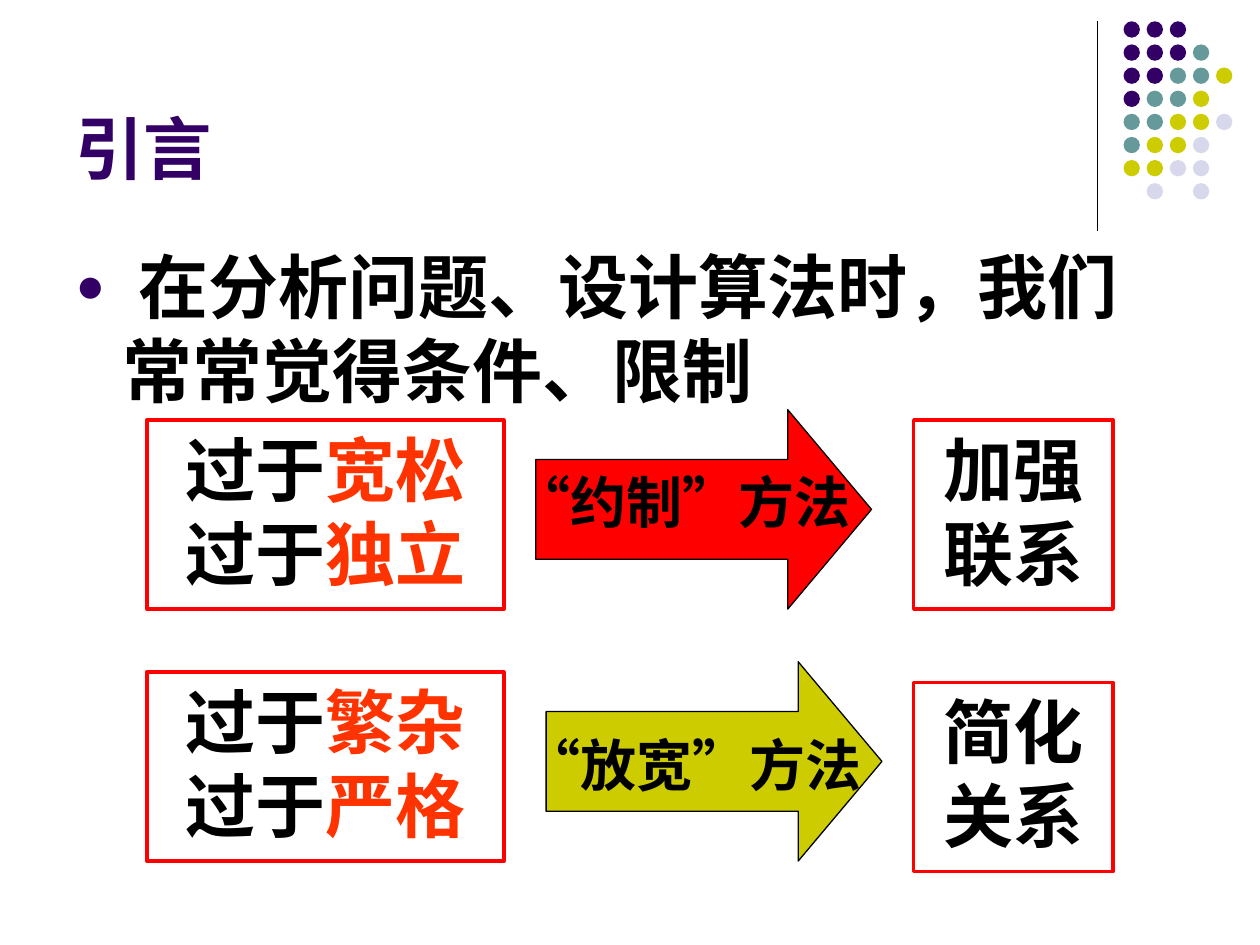
from lxml import etree
from pptx import Presentation
from pptx.dml.color import RGBColor
from pptx.enum.shapes import MSO_CONNECTOR, MSO_SHAPE
from pptx.enum.text import MSO_ANCHOR, MSO_AUTO_SIZE, PP_ALIGN
from pptx.oxml.ns import qn
from pptx.util import Cm, Pt

LEFT, CENTER = PP_ALIGN.LEFT, PP_ALIGN.CENTER
TOP, BOTTOM = MSO_ANCHOR.TOP, MSO_ANCHOR.BOTTOM
RECT, ARROW, DOT = MSO_SHAPE.RECTANGLE, MSO_SHAPE.RIGHT_ARROW, MSO_SHAPE.OVAL

BLACK, RED, ORANGE, PURPLE, OLIVE = "000000", "FF0000", "FF3300", "330066", "CCCC00"
HEADING = "引言"
INTRO = " 在分析问题、设计算法时，我们常常觉得条件、限制"
METHODS = [
    {"problems": ["宽松", "独立"], "problem_top": 8.47,
     "method": "“约制”方法", "color": RED, "arrow": (10.8, 8.26), "label": (9.53, 9.31),
     "result": "加强联系", "result_top": 8.47},
    {"problems": ["繁杂", "严格"], "problem_top": 13.55,
     "method": "“放宽”方法", "color": OLIVE, "arrow": (11.01, 13.34), "label": (9.74, 14.6),
     "result": "简化关系", "result_top": 13.76},
]
DOT_ROWS = ["PPP", "PPPT", "PPTTO", "PTTO", "TTOOL", "TOOL", "OOLL", " L L"]
DOT_COLORS = {"P": PURPLE, "T": "669999", "O": OLIVE, "L": "D8D8EC"}
DOT_LEFT, DOT_TOP, DOT_SIZE, DOT_PITCH = 22.65, 0.43, 0.33, 0.466
BOX_HEIGHT, TEXT_HEIGHT = 3.81, 3.66
PROBLEM_LEFT, PROBLEM_WIDTH = 2.96, 7.2
RESULT_LEFT, RESULT_WIDTH = 18.42, 4.02

deck = Presentation()
deck.slide_width, deck.slide_height = Cm(25.4), Cm(19.05)
slide = deck.slides.add_slide(deck.slide_layouts[1])


def rgb(value):
    return RGBColor.from_string(value)


def apply(target, values):
    for key, value in values.items():
        setattr(target, key, value)


def place(target, left, top, width, height):
    apply(target, {"left": Cm(left), "top": Cm(top), "width": Cm(width), "height": Cm(height)})


def write(target, paragraphs, size, align=CENTER, anchor=TOP):
    frame = target.text_frame
    apply(frame, {"word_wrap": True, "auto_size": MSO_AUTO_SIZE.NONE, "vertical_anchor": anchor})
    for index, parts in enumerate(paragraphs):
        paragraph = frame.add_paragraph() if index else frame.paragraphs[0]
        paragraph.alignment = align
        for words, color in parts:
            run = paragraph.add_run()
            run.text = words
            apply(run.font, {"name": "Arial", "size": Pt(size), "bold": True})
            run.font.color.rgb = rgb(color)
    return frame


def caption(box, paragraphs, size):
    write(slide.shapes.add_textbox(*map(Cm, box)), paragraphs, size)


def draw(kind, box, fill=None, line=None, weight=0.74):
    shape = slide.shapes.add_shape(kind, *map(Cm, box))
    shape.shadow.inherit = False
    if fill:
        shape.fill.solid()
        shape.fill.fore_color.rgb = rgb(fill)
    else:
        shape.fill.background()
    if line:
        shape.line.color.rgb = rgb(line)
        shape.line.width = Pt(weight)
    else:
        shape.line.fill.background()
    return shape


def framed(left, top, width, paragraphs):
    draw(RECT, (left, top, width, BOX_HEIGHT), line=RED, weight=2)
    caption((left, top, width, TEXT_HEIGHT), paragraphs, 40)


divider = slide.shapes.add_connector(MSO_CONNECTOR.STRAIGHT, Cm(22.12), Cm(0.43), Cm(22.12), Cm(4.65))
divider.line.color.rgb = rgb(BLACK)
divider.line.width = Pt(0.74)
etree.SubElement(divider._element.spPr, qn("a:effectLst"))

for row, codes in enumerate(DOT_ROWS):
    for column, code in enumerate(codes):
        if code in DOT_COLORS:
            draw(DOT, (DOT_LEFT + column * DOT_PITCH, DOT_TOP + row * DOT_PITCH, DOT_SIZE, DOT_SIZE),
                 DOT_COLORS[code])

heading = slide.shapes.title
place(heading, 1.27, 0.33, 20.95, 3.6)
write(heading, [[(HEADING, PURPLE)]], 39, LEFT, BOTTOM)

intro = slide.placeholders[1]
place(intro, 1.27, 4.78, 22.86, 12.24)
bullet_line = write(intro, [[(INTRO, BLACK)]], 40, LEFT).paragraphs[0]
bullet_line.space_before = Pt(10)
bullet = bullet_line._p.get_or_add_pPr()
bullet.set("marL", str(Cm(0.95)))
bullet.set("indent", str(Cm(-0.95)))
bullet_color = etree.SubElement(bullet, qn("a:buClr"))
etree.SubElement(bullet_color, qn("a:srgbClr"), val=PURPLE)
etree.SubElement(bullet, qn("a:buSzPct"), val="70000")
etree.SubElement(bullet, qn("a:buFont"), typeface="Arial")
etree.SubElement(bullet, qn("a:buChar"), char="●")

for entry in METHODS:
    framed(PROBLEM_LEFT, entry["problem_top"], PROBLEM_WIDTH,
           [[("过于", BLACK), (problem, ORANGE)] for problem in entry["problems"]])
    arrow = draw(ARROW, (*entry["arrow"], 6.77, 4.02), entry["color"], BLACK)
    arrow.adjustments[0], arrow.adjustments[1] = 0.5, 0.42
    caption((*entry["label"], 8.47, 1.63), [[(entry["method"], BLACK)]], 32)
    framed(RESULT_LEFT, entry["result_top"], RESULT_WIDTH, [[(entry["result"], BLACK)]])

deck.save("out.pptx")
